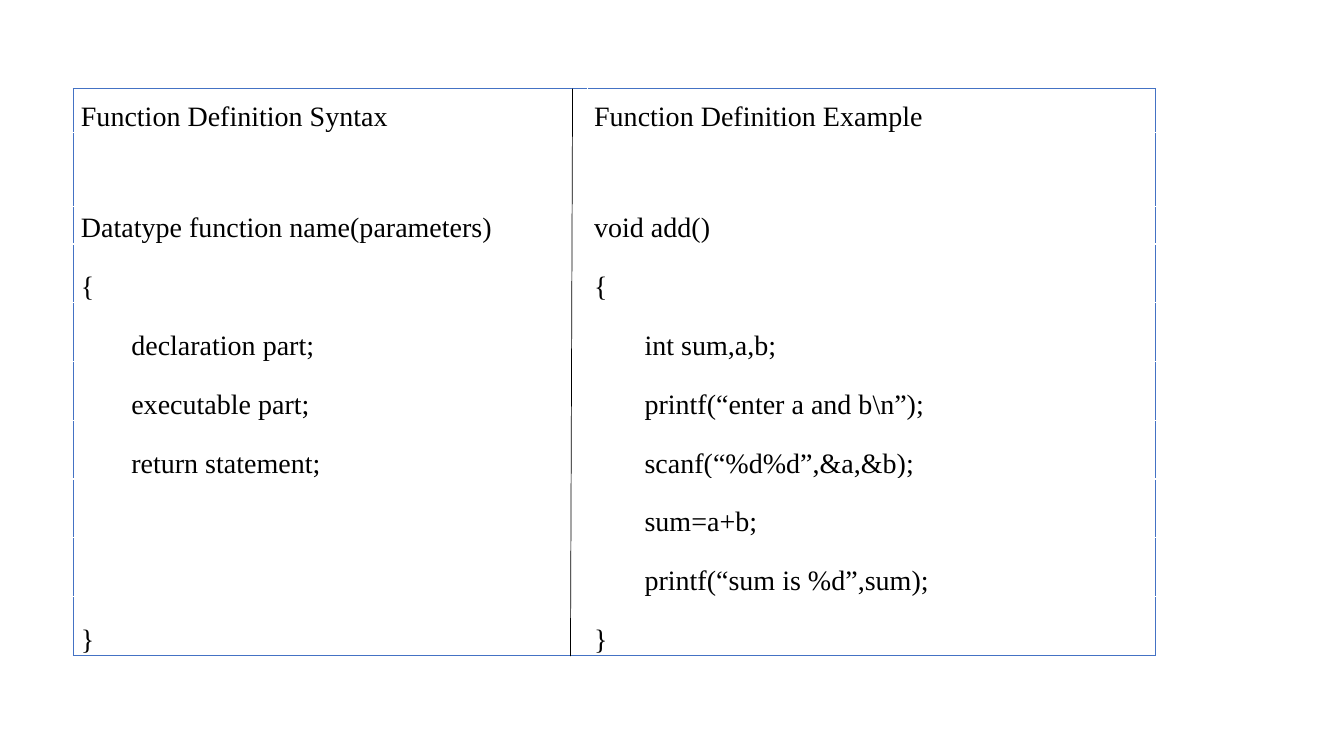
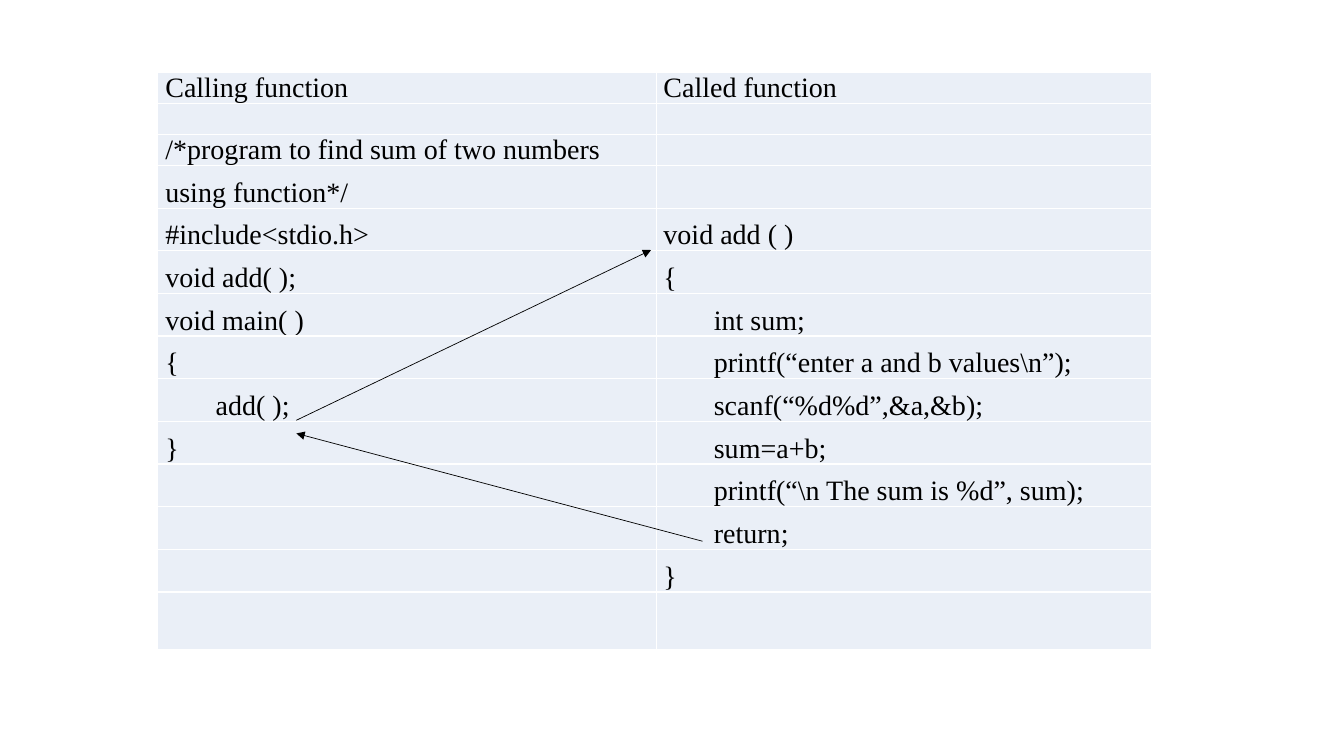
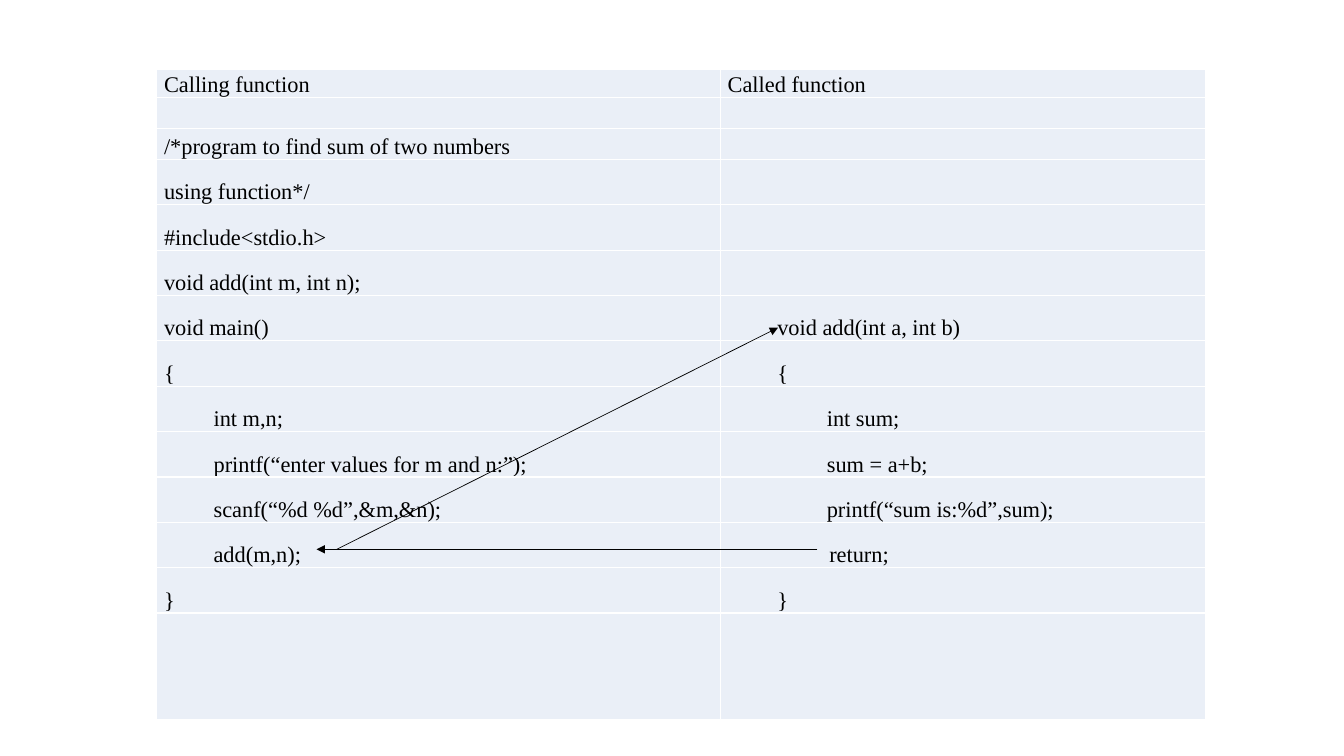
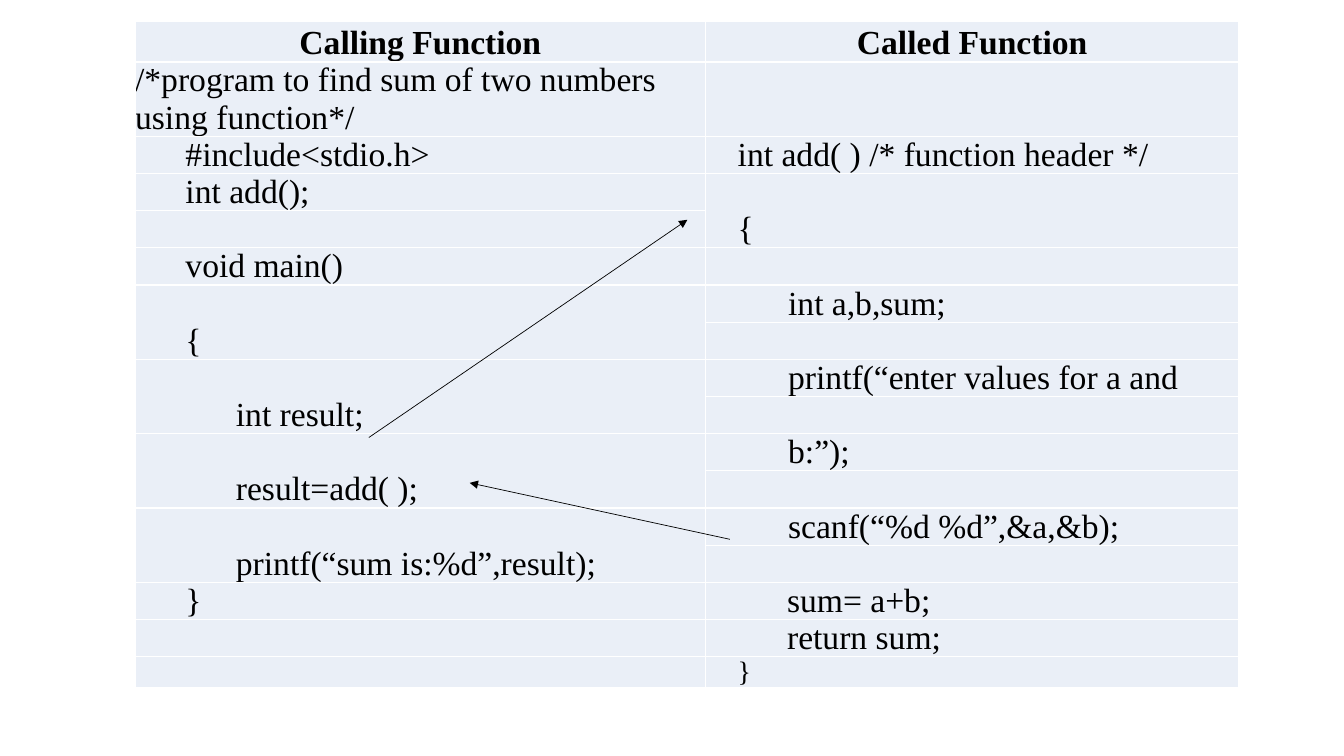
"""Build four slides that compare calling and called functions in C."""
from dataclasses import dataclass
from typing import NamedTuple, Optional

from lxml import etree
from pptx import Presentation
from pptx.dml.color import RGBColor
from pptx.enum.shapes import MSO_CONNECTOR
from pptx.enum.text import MSO_ANCHOR, PP_ALIGN
from pptx.oxml.ns import qn
from pptx.util import Pt

COLORS = {"text": "000000", "line": "000000", "cell": "EAEFF7",
          "grid": "FFFFFF", "frame": "4472C4"}
FONT = "Times New Roman"
EMPTY_LINE = 12


class Code(NamedTuple):
    text: str
    level: float = 0
    spacing: Optional[float] = None
    heading: bool = False
    size: Optional[float] = None


class Row(NamedTuple):
    height: float
    left: Optional[Code] = None
    right: Optional[Code] = None


class Line(NamedTuple):
    start: tuple[float, float]
    end: tuple[float, float]
    arrow: bool = True


@dataclass(frozen=True)
class CodeTable:
    origin: tuple[float, float]
    widths: tuple[float, float]
    rows: list[Row]
    lines: list[Line]
    size: float = 20
    bases: tuple[float, float] = (5.6, 5)
    step: float = 36
    align: PP_ALIGN = PP_ALIGN.LEFT
    framed: bool = False
    merges: tuple[tuple[int, int], ...] = ()


def rgb(name: str) -> RGBColor:
    return RGBColor.from_string(COLORS[name])


def set_border(cell, side: str, color: str, width: float) -> None:
    properties = cell._tc.get_or_add_tcPr()
    border = etree.SubElement(properties, qn(f"a:ln{side}"), w=str(Pt(width)))
    fill = etree.SubElement(border, qn("a:solidFill"))
    etree.SubElement(fill, qn("a:srgbClr"), val=COLORS[color])


def style_cell(cell, row: int, column: int, design: CodeTable) -> None:
    outer = {"L": column == 0, "R": column == 1,
             "T": row == 0, "B": row == len(design.rows) - 1}
    for side, is_outer in outer.items():
        if not design.framed:
            set_border(cell, side, "grid", 1)
        elif is_outer:
            set_border(cell, side, "frame", 0.5)
    if design.framed:
        cell.fill.background()
    else:
        cell.fill.solid()
        cell.fill.fore_color.rgb = rgb("cell")
    cell.margin_left = cell.margin_right = cell.margin_top = cell.margin_bottom = 0
    cell.vertical_anchor = MSO_ANCHOR.BOTTOM


def write_code(cell, code: Optional[Code], base: float, design: CodeTable) -> None:
    paragraph = cell.text_frame.paragraphs[0]
    if code is None:
        paragraph.line_spacing = Pt(EMPTY_LINE)
        return
    paragraph.text = code.text
    paragraph.alignment = PP_ALIGN.CENTER if code.heading else design.align
    if not code.heading:
        cell.margin_left = Pt(base + code.level * design.step)
    if code.spacing:
        paragraph.line_spacing = Pt(code.spacing)
    font = paragraph.font
    font.name, font.size, font.bold = FONT, Pt(code.size or design.size), code.heading
    font.color.rgb = rgb("text")


def draw_table(slide, design: CodeTable) -> None:
    left, top = design.origin
    height = sum(row.height for row in design.rows)
    table = slide.shapes.add_table(len(design.rows), 2, Pt(left), Pt(top),
                                   Pt(sum(design.widths)), Pt(height)).table
    table.first_row = table.horz_banding = False
    for column, width in zip(table.columns, design.widths):
        column.width = Pt(width)
    for index, row in enumerate(design.rows):
        table.rows[index].height = Pt(row.height)
        for column, code in enumerate((row.left, row.right)):
            cell = table.cell(index, column)
            style_cell(cell, index, column, design)
            write_code(cell, code, design.bases[column], design)
    for index, column in design.merges:
        table.cell(index, column).merge(table.cell(index + 1, column))


def draw_line(slide, line: Line) -> None:
    connector = slide.shapes.add_connector(
        MSO_CONNECTOR.STRAIGHT, *(Pt(value) for value in line.start + line.end))
    connector.line.color.rgb = rgb("line")
    connector.line.width = Pt(0.5)
    if line.arrow:
        etree.SubElement(connector.line._get_or_add_ln(), qn("a:tailEnd"), type="triangle")
    etree.SubElement(connector._element.spPr, qn("a:effectLst"))


DEFINITION = CodeTable(
    origin=(52.2, 63.4), widths=(367.2, 406), framed=True,
    rows=[
        Row(31, Code("Function Definition Syntax"), Code("Function Definition Example")),
        Row(53.3),
        Row(26.6, Code("Datatype function name(parameters)", spacing=13.2),
            Code("void add()", spacing=13.2)),
        Row(42, Code("{"), Code("{")),
        Row(42, Code("declaration part;", 1), Code("int sum,a,b;", 1)),
        Row(42, Code("executable part;", 1), Code("printf(“enter a and b\\n”);", 1)),
        Row(42, Code("return statement;", 1), Code("scanf(“%d%d”,&a,&b);", 1)),
        Row(42, None, Code("sum=a+b;", 1)),
        Row(42, None, Code("printf(“sum is %d”,sum);", 1)),
        Row(42, Code("}"), Code("}")),
    ],
    lines=[Line((409, 63.4), (407.5, 468.7), arrow=False)])

NO_ARGUMENTS = CodeTable(
    origin=(112.5, 51.8), widths=(356.4, 353.5),
    rows=[
        Row(22.1, Code("Calling function"), Code("Called function")),
        Row(22.1),
        Row(22.1, Code("/*program to find sum of two numbers", spacing=13.4)),
        Row(30.5, Code("using function*/")),
        Row(30.5, Code("#include<stdio.h>"), Code("void add ( )")),
        Row(30.5, Code("void add( );"), Code("{")),
        Row(30.5, Code("void main( )"), Code("int sum;", 1)),
        Row(30.5, Code("{"), Code("printf(“enter a and b values\\n”);", 1)),
        Row(30.5, Code("add( );", 1), Code("scanf(“%d%d”,&a,&b);", 1)),
        Row(30.5, Code("}"), Code("sum=a+b;", 1)),
        Row(30.5, None, Code("printf(“\\n The sum is %d”, sum);", 1)),
        Row(30.5, None, Code("return;", 1)),
        Row(30.5, None, Code("}")),
        Row(41.4),
    ],
    lines=[Line((211.7, 300.2), (465.1, 178.6)), Line((501.8, 386.6), (211.7, 309.6))])

WITH_ARGUMENTS = CodeTable(
    origin=(111.6, 49.7), widths=(403.2, 346.3), size=16, step=35.4,
    align=PP_ALIGN.JUSTIFY,
    rows=[
        Row(20.2, Code("Calling function", spacing=13.3),
            Code("Called function", spacing=13.3)),
        Row(17.8),
        Row(21.5, Code("/*program to find sum of two numbers", spacing=13.5)),
        Row(32.4, Code("using function*/")),
        Row(32.4, Code("#include<stdio.h>")),
        Row(32.4, Code("void add(int m, int n);")),
        Row(32.4, Code("void main()"), Code("void add(int a, int b)", 1)),
        Row(32.4, Code("{"), Code("{", 1)),
        Row(32.4, Code("int m,n;", 1), Code("int sum;", 2)),
        Row(32.4, Code("printf(“enter values for m and n:”);", 1), Code("sum = a+b;", 2)),
        Row(32.4, Code("scanf(“%d %d”,&m,&n);", 1), Code("printf(“sum is:%d”,sum);", 2)),
        Row(32.4, Code("add(m,n);", 1), Code("return;", 2.05)),
        Row(32.4, Code("}"), Code("}", 1)),
        Row(75.8),
    ],
    lines=[Line((240.5, 392.4), (555.8, 234)), Line((583.9, 392.4), (226.1, 392.4))])

RETURN_VALUE = CodeTable(
    origin=(96.5, 15.1), widths=(407.5, 380.9), size=24, bases=(0, 23),
    merges=((3, 1), (6, 0), (8, 0), (10, 0), (12, 0)),
    rows=[
        Row(29.2, Code("Calling Function", heading=True),
            Code("Called Function", heading=True)),
        Row(53.1, Code("/*program to find sum of two numbers using function*/")),
        Row(26.55, Code("#include<stdio.h>", 1), Code("int add( ) /* function header */")),
        Row(26.55, Code("int add();", 1), Code("{")),
        Row(26.55),
        Row(26.55, Code("void main()", 1)),
        Row(26.55, Code("{", 1), Code("int a,b,sum;", 1)),
        Row(26.55),
        Row(26.55, Code("int result;", 2), Code("printf(“enter values for a and", 1)),
        Row(26.55),
        Row(26.55, Code("result=add( );", 2), Code("b:”);", 1)),
        Row(26.55),
        Row(26.55, Code("printf(“sum is:%d”,result);", 2), Code("scanf(“%d %d”,&a,&b);", 1)),
        Row(26.55),
        Row(26.55, Code("}", 1), Code("sum= a+b;", 0.98)),
        Row(26.55, None, Code("return sum;", 0.98)),
        Row(22.1, None, Code("}", size=20)),
    ],
    lines=[Line((263.5, 312.5), (491, 157)), Line((521.3, 385.2), (335.5, 344.9))])


def main() -> None:
    presentation = Presentation()
    presentation.slide_width, presentation.slide_height = Pt(960), Pt(540)
    for design in (DEFINITION, NO_ARGUMENTS, WITH_ARGUMENTS, RETURN_VALUE):
        slide = presentation.slides.add_slide(presentation.slide_layouts[6])
        draw_table(slide, design)
        for line in design.lines:
            draw_line(slide, line)
    presentation.save("out.pptx")


if __name__ == "__main__":
    main()
